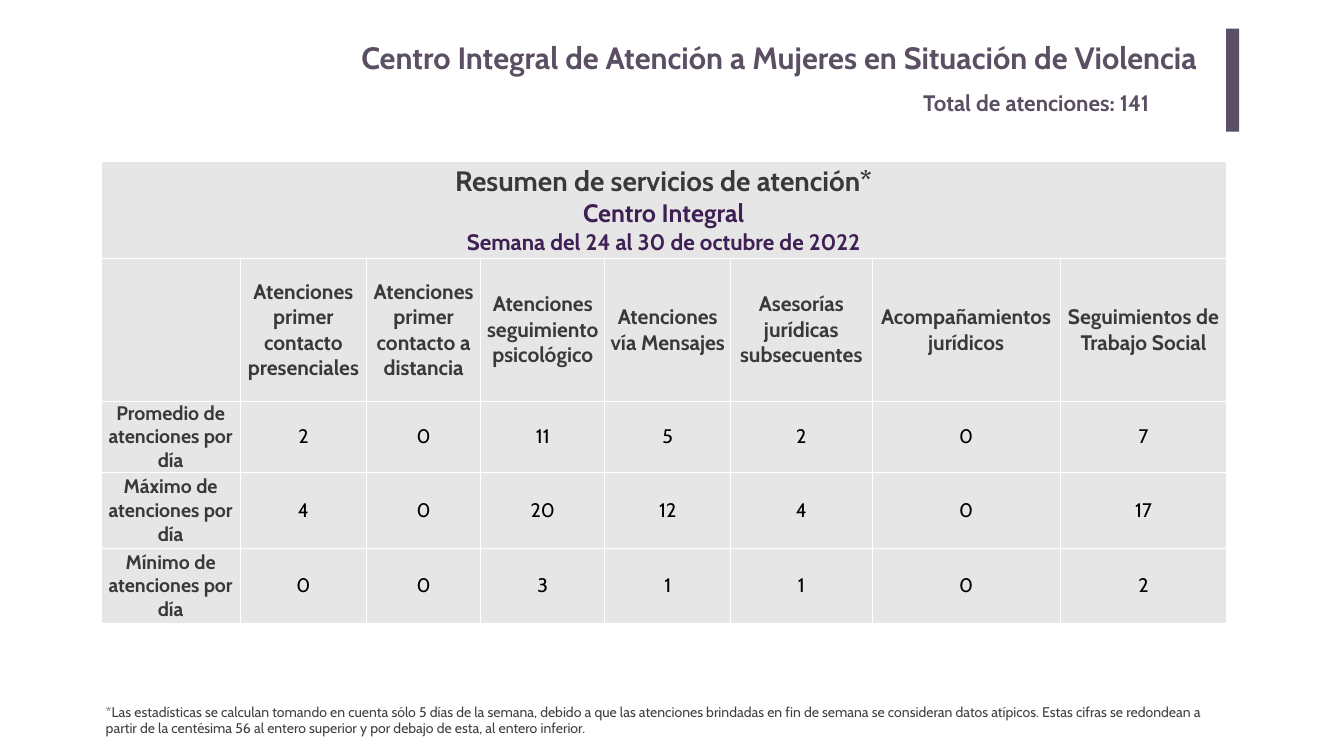
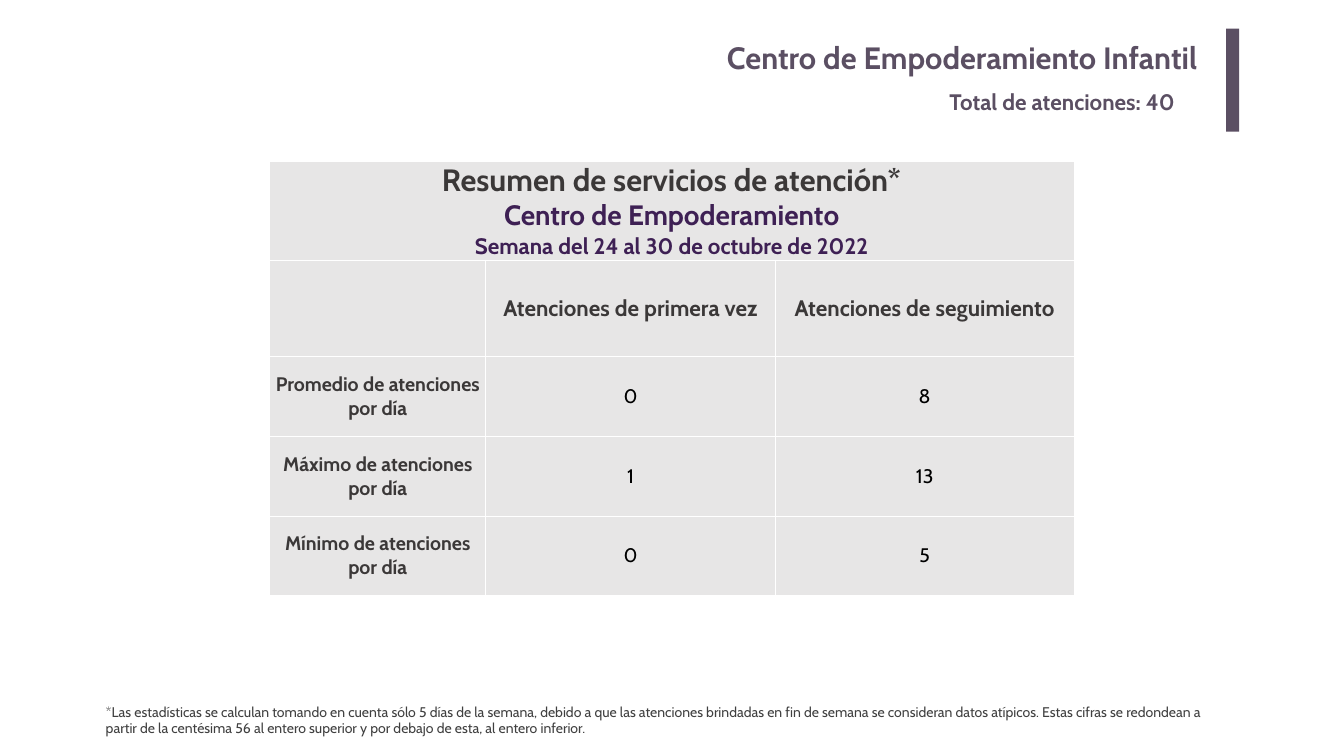
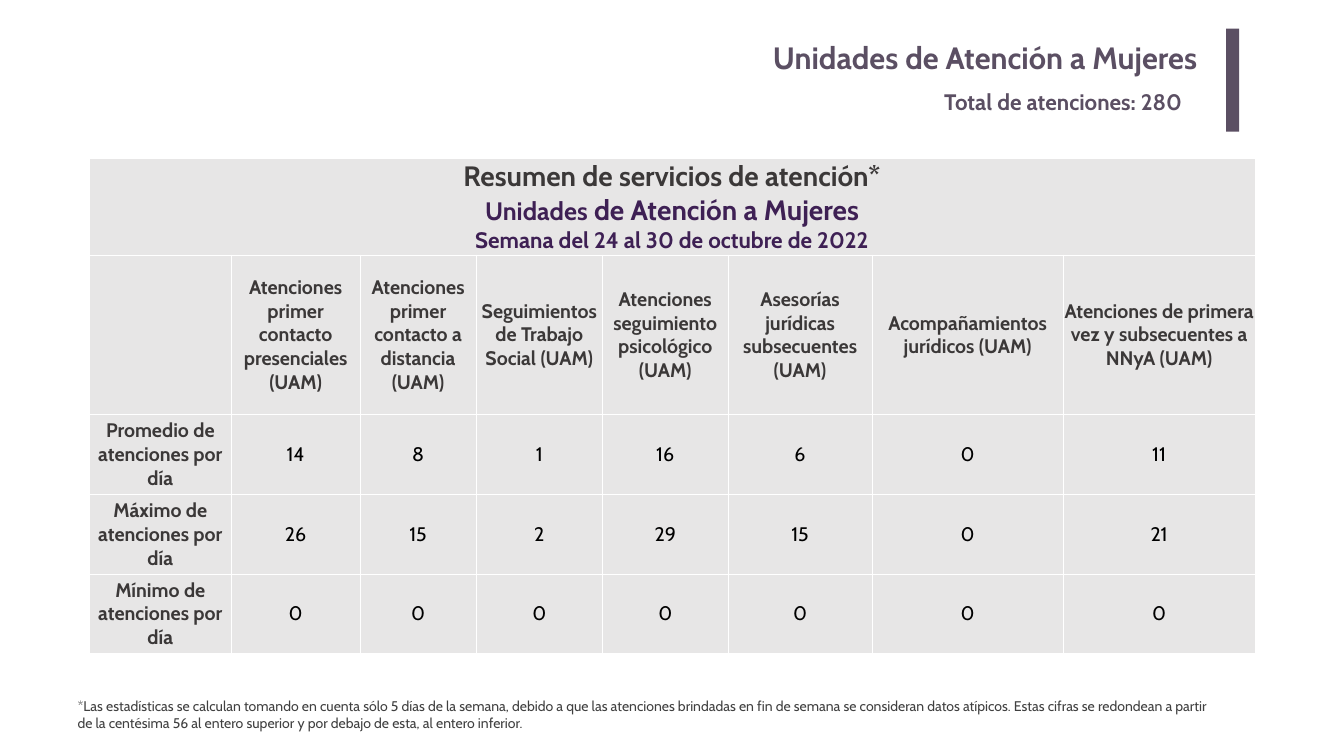
import dataclasses

import lxml.etree
import pptx
import pptx.dml.color
import pptx.enum.shapes
import pptx.enum.text
import pptx.oxml.ns
import pptx.util

SLIDE_WIDTH, SLIDE_HEIGHT = pptx.util.Inches(26.67), pptx.util.Inches(15)
FONT = "Cabin"
PLUM, VIOLET, CHARCOAL = "5B4F63", "3E2054", "3B3838"
GREY, NOTE_GREY, BLACK, WHITE = "E7E6E6", "404040", "000000", "FFFFFF"

ALIGN = pptx.enum.text.PP_ALIGN
ANCHOR = pptx.enum.text.MSO_ANCHOR
AUTOSIZE = pptx.enum.text.MSO_AUTO_SIZE

WEEK = "Semana del 24 al 30 de octubre de 2022"
ROW_LABELS = [f"{measure} de atenciones por día" for measure in ("Promedio", "Máximo", "Mínimo")]
FOOTNOTE = (
    "*Las estadísticas se calculan tomando en cuenta sólo 5 días de la semana, debido a que "
    "las atenciones brindadas en fin de semana se consideran datos atípicos. Estas cifras se "
    "redondean a partir de la centésima 56 al entero superior y por debajo de esta, al entero "
    "inferior."
)


@dataclasses.dataclass
class Box:
    """A rectangle in EMU; the areas inside it are given in percent of its size."""
    left: float
    top: float
    width: float
    height: float

    def area(self, left, top, width, height):
        return Box(self.left + self.width * left / 100, self.top + self.height * top / 100,
                   self.width * width / 100, self.height * height / 100)

    def emu(self):
        return [round(length) for length in (self.left, self.top, self.width, self.height)]


PAGE = Box(0, 0, SLIDE_WIDTH, SLIDE_HEIGHT)
HEADER = PAGE.area(13.72, 3.8, 78.48, 13.6)


def rgb(value):
    return pptx.dml.color.RGBColor.from_string(value)


def apply(target, formats):
    for attribute, value in formats.items():
        setattr(target, attribute, value)


def margins(horizontal, vertical):
    return {
        "margin_left": pptx.util.Inches(horizontal), "margin_right": pptx.util.Inches(horizontal),
        "margin_top": pptx.util.Inches(vertical), "margin_bottom": pptx.util.Inches(vertical),
    }


def write(frame, lines, align=ALIGN.LEFT):
    """Write lines, each a list of (text, size, colour, bold) runs."""
    for index, line in enumerate(lines):
        paragraph = frame.paragraphs[0] if index == 0 else frame.add_paragraph()
        paragraph.alignment = align
        for text, size, colour, bold in line:
            run = paragraph.add_run()
            run.text = text
            apply(run.font, {"name": FONT, "size": pptx.util.Pt(size), "bold": bold})
            run.font.color.rgb = rgb(colour)


def add_text(slide, box, line):
    frame = slide.shapes.add_textbox(*box.emu()).text_frame
    apply(frame, {"word_wrap": True, "auto_size": AUTOSIZE.SHAPE_TO_FIT_TEXT, **margins(0.1, 0.05)})
    write(frame, [line])


def add_header(slide, box, title, total, total_place):
    # Title
    heading = slide.shapes.title
    apply(heading, dict(zip(("left", "top", "width", "height"), box.area(0, 4.9, 97, 50).emu())))
    apply(heading.text_frame, {"word_wrap": True, "auto_size": AUTOSIZE.NONE,
                               "vertical_anchor": ANCHOR.TOP, **margins(0.2, 0.1)})
    write(heading.text_frame, [[(title, 44, PLUM, True)]], ALIGN.RIGHT)

    # Accent bar
    accent = slide.shapes.add_shape(pptx.enum.shapes.MSO_SHAPE.RECTANGLE,
                                    *box.area(98.76, 0, 1.24, 100).emu())
    accent.shadow.inherit = False
    accent.fill.solid()
    accent.fill.fore_color.rgb = rgb(PLUM)
    accent.line.fill.background()

    # Total
    left, top, width = total_place
    add_text(slide, box.area(left, top, width, 31.4),
             [(f"Total de atenciones: {total}", 32, PLUM, True)])


def style_cell(cell):
    apply(cell, {"vertical_anchor": ANCHOR.MIDDLE, **margins(0, 0)})
    properties = cell._tc.get_or_add_tcPr()
    qn = pptx.oxml.ns.qn
    for side in ("lnL", "lnR", "lnT", "lnB"):
        border = lxml.etree.SubElement(properties, qn(f"a:{side}"), w=str(pptx.util.Pt(1)))
        fill = lxml.etree.SubElement(border, qn("a:solidFill"))
        lxml.etree.SubElement(fill, qn("a:srgbClr"), val=WHITE)
    cell.fill.solid()
    cell.fill.fore_color.rgb = rgb(GREY)


def add_summary(slide, box, caption, services, values, service_size, columns, rows):
    """Columns and rows are relative sizes that share out the box."""
    table = slide.shapes.add_table(len(rows), len(columns), *box.emu()).table
    apply(table, {"first_row": False, "horz_banding": False})
    for column, share in zip(table.columns, columns):
        column.width = round(box.width * share / sum(columns))
    for row, share in zip(table.rows, rows):
        row.height = round(box.height * share / sum(rows))
    for cell in table.iter_cells():
        style_cell(cell)

    # Caption across all columns
    table.cell(0, 0).merge(table.cell(0, len(columns) - 1))
    write(table.cell(0, 0).text_frame, caption, ALIGN.CENTER)

    # Service names
    for index, service in enumerate(services, 1):
        write(table.cell(1, index).text_frame,
              [[(service, service_size, CHARCOAL, True)]], ALIGN.CENTER)

    # Row labels and daily figures
    for row, (label, figures) in enumerate(zip(ROW_LABELS, values), 2):
        write(table.cell(row, 0).text_frame, [[(label, 28, CHARCOAL, True)]], ALIGN.CENTER)
        for column, figure in enumerate(figures, 1):
            write(table.cell(row, column).text_frame,
                  [[(str(figure), 28, BLACK, False)]], ALIGN.CENTER)


def caption_lines(heading_size, *centre_runs):
    return [
        [("Resumen de servicios de atención*", heading_size, CHARCOAL, True)],
        [(text, size, VIOLET, True) for text, size in centre_runs],
        [(WEEK, 32, VIOLET, True)],
    ]


CENTRES = [
    {
        "header": {"title": "Centro Integral de Atención a Mujeres en Situación de Violencia",
                   "total": 141, "total_place": (69.57, 55.88, 28.29)},
        "summary": {
            "box": PAGE.area(7.5, 21.4, 83.77, 59.6),
            "caption": caption_lines(40, ("Centro Integral", 36)),
            "services": ["Atenciones primer contacto presenciales",
                         "Atenciones primer contacto a distancia",
                         "Atenciones seguimiento psicológico",
                         "Atenciones vía Mensajes",
                         "Asesorías jurídicas subsecuentes",
                         "Acompañamientos jurídicos",
                         "Seguimientos de Trabajo Social"],
            "values": [[2, 0, 11, 5, 2, 0, 7], [4, 0, 20, 12, 4, 0, 17], [0, 0, 3, 1, 1, 0, 2]],
            "service_size": 30,
            "columns": [2.77, 2.5, 2.27, 2.46, 2.5, 2.8, 3.74, 3.3],
            "rows": [1.92, 2.83, 1.19, 1.5, 1.5],
        },
        "footnote": PAGE.area(7.5, 92.67, 83.73, 5.13),
    },
    {
        "header": {"title": "Centro de Empoderamiento Infantil",
                   "total": 40, "total_place": (72.05, 54.9, 25.23)},
        "summary": {
            "box": PAGE.area(20.06, 21.33, 59.84, 57.2),
            "caption": caption_lines(44, ("Centro de Empoderamiento", 40)),
            "services": ["Atenciones de primera vez", "Atenciones de seguimiento"],
            "values": [[0, 8], [1, 13], [0, 5]],
            "service_size": 32,
            "columns": [4.29, 5.75, 5.92],
            "rows": [1.92, 1.92, 1.58, 1.58, 1.58],
        },
        "footnote": PAGE.area(7.5, 92.67, 83.73, 5.13),
    },
    {
        "header": {"title": "Unidades de Atención a Mujeres",
                   "total": 280, "total_place": (71.57, 54.9, 25.7)},
        "summary": {
            "box": PAGE.area(6.64, 21, 86.73, 65.47),
            "caption": caption_lines(40, ("Unidades", 36), (" de Atención a Mujeres", 40)),
            "services": [f"{service} (UAM)" for service in (
                "Atenciones primer contacto presenciales",
                "Atenciones primer contacto a distancia",
                "Seguimientos de Trabajo Social",
                "Atenciones seguimiento psicológico",
                "Asesorías jurídicas subsecuentes",
                "Acompañamientos jurídicos",
                "Atenciones de primera vez y subsecuentes a NNyA")],
            "values": [[14, 8, 1, 16, 6, 0, 11], [26, 15, 2, 29, 15, 0, 21], [0] * 7],
            "service_size": 28,
            "columns": [2.82, 2.55, 2.31, 2.5, 2.5, 2.85, 3.8, 3.8],
            "rows": [1.91, 3.17, 1.58, 1.58, 1.58],
        },
        "footnote": PAGE.area(5.4, 91.93, 85.38, 5.13),
    },
]


def add_centre_slide(deck, centre):
    slide = deck.slides.add_slide(deck.slide_layouts.get_by_name("Title Only"))
    add_summary(slide, **centre["summary"])
    add_header(slide, HEADER, **centre["header"])
    add_text(slide, centre["footnote"], [(FOOTNOTE, 20, NOTE_GREY, False)])


def main():
    deck = pptx.Presentation()
    apply(deck, {"slide_width": SLIDE_WIDTH, "slide_height": SLIDE_HEIGHT})
    for centre in CENTRES:
        add_centre_slide(deck, centre)
    deck.save("out.pptx")


if __name__ == "__main__":
    main()
